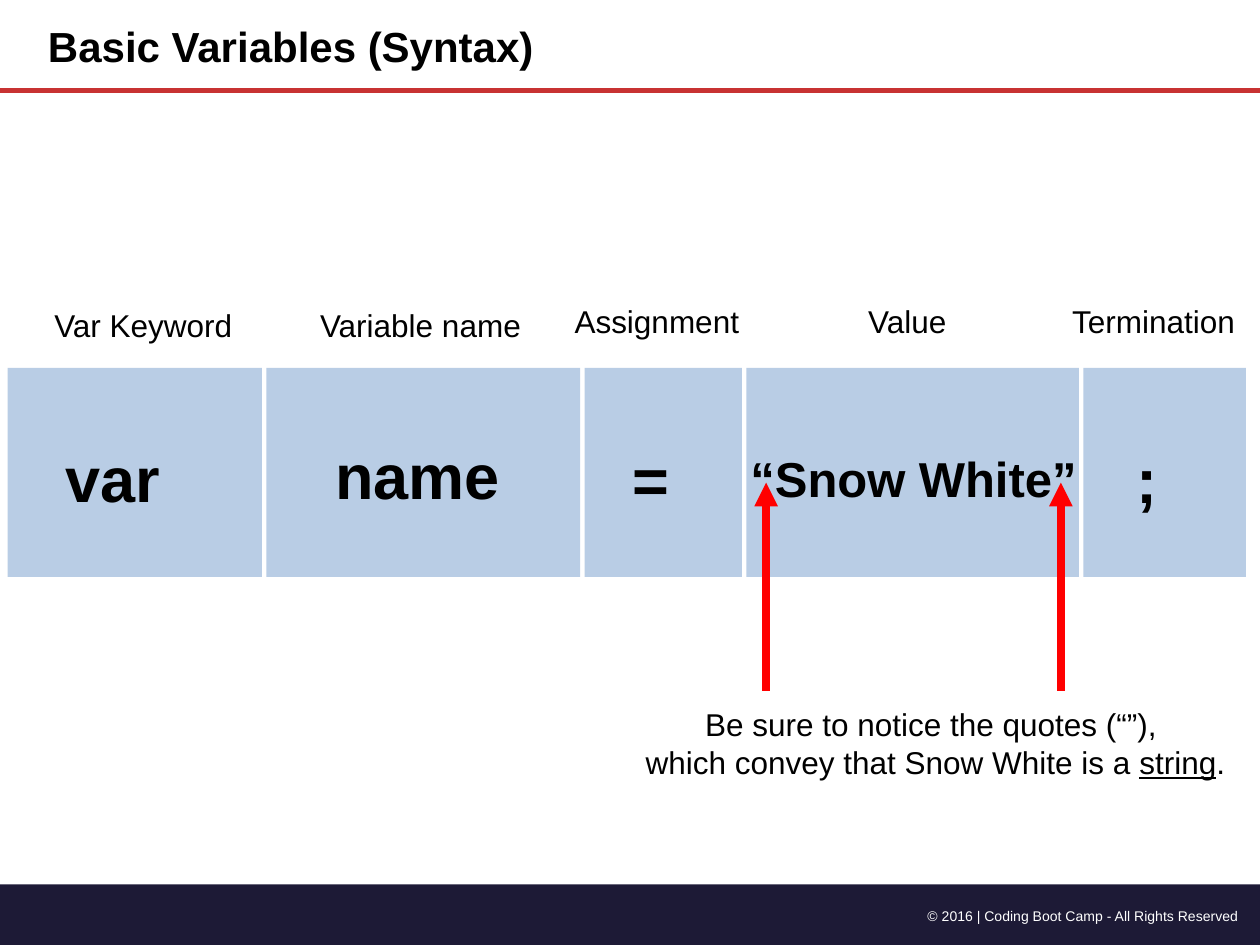
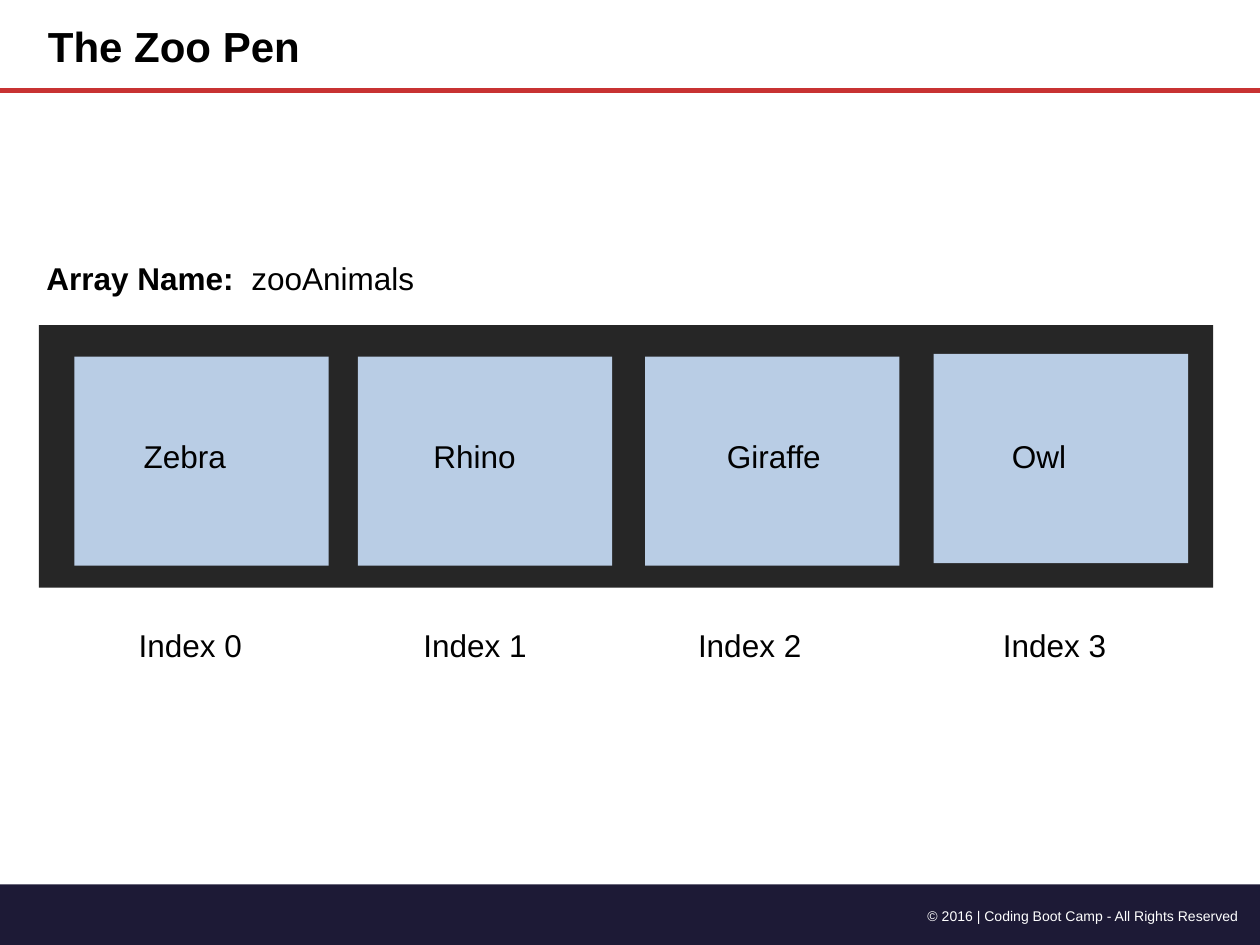
"""Builds two lesson slides: variable syntax and the zoo pen array."""
from pptx import Presentation
from pptx.dml.color import RGBColor
from pptx.enum.shapes import MSO_CONNECTOR, MSO_SHAPE
from pptx.enum.text import MSO_ANCHOR, PP_ALIGN
from pptx.oxml.ns import qn
from pptx.util import Pt
from lxml.etree import SubElement

COLORS = {"band": "1D1A36", "rule": "C83232", "cell": "B9CDE5", "pen": "262626",
          "arrow": "FF0000", "text": "000000", "footer": "FFFFFF"}
FONT = "Arial"
FOOTER = "© 2016 | Coding Boot Camp - All Rights Reserved"

SYNTAX_TITLE = "Basic Variables (Syntax)"
SYNTAX_PARTS = [
    {"width": 145.4, "label": ("Var Keyword", 27.4, 171.4, 109.4),
     "code": ("var", 33.8, 247.7, 111.6)},
    {"width": 179.3, "label": ("Variable name", 179.3, 171.4, 123.1),
     "code": ("name", 187.9, 246.2, 149.8)},
    {"width": 90, "label": ("Assignment", 324.7, 169.2, 102.2),
     "code": ("=", 357.8, 248.4, 67)},
    {"width": 190, "label": ("Value", 492.5, 169.2, 52.6),
     "code": ("“Snow White”", 414.7, 252.7, 214.6)},
    {"width": 93, "label": ("Termination", 609.1, 169.2, 100.8),
     "code": (";", 645.8, 248.4, 67)},
]
QUOTE_NOTE = [[("Be sure to notice the quotes (“”), ", "")],
              [("which convey that Snow White is a ", ""), ("string", "u"), (".", "")]]
QUOTE_XS = (606.2, 437.8)

ZOO_TITLE = "The Zoo Pen"
ARRAY_NAME = [[("Array Name:  ", "b"), ("zooAnimals", "")]]
ANIMALS = [
    {"pen": (42.5, 203.8), "name": ("Zebra", 78.5, 55.4), "index": (75.6, 72)},
    {"pen": (204.5, 203.8), "name": ("Rhino", 244.1, 55.4), "index": (238.3, 67)},
    {"pen": (368.6, 203.8), "name": ("Giraffe", 411.8, 61.9), "index": (395.3, 67)},
    {"pen": (533.5, 202.3), "name": ("Owl", 574.6, 38.9), "index": (569.5, 67)},
]

CELL_H = 119.5
CELL_GAP = 2.5
LABEL_H = 27.4


def add_rect(s, x, y, w, h, color):
    sp = s.shapes.add_shape(MSO_SHAPE.RECTANGLE, Pt(x), Pt(y), Pt(w), Pt(h))
    sp.shadow.inherit = False
    sp.fill.solid()
    sp.fill.fore_color.rgb = RGBColor.from_string(COLORS[color])
    sp.line.fill.background()


def add_line(s, x1, y1, x2, y2, color, width, arrow=False):
    cn = s.shapes.add_connector(MSO_CONNECTOR.STRAIGHT, Pt(x1), Pt(y1), Pt(x2), Pt(y2))
    cn.line.color.rgb = RGBColor.from_string(COLORS[color])
    cn.line.width = Pt(width)
    if arrow:
        SubElement(cn.line._get_or_add_ln(), qn("a:tailEnd"), type="triangle")
    SubElement(cn._element.spPr, qn("a:effectLst"))


def add_text(s, paragraphs, x, y, w, h, size=18, color="text", align=PP_ALIGN.LEFT,
             anchor=MSO_ANCHOR.TOP, wrap=False):
    tf = s.shapes.add_textbox(Pt(x), Pt(y), Pt(w), Pt(h)).text_frame
    tf.word_wrap = wrap
    tf.vertical_anchor = anchor
    tf.margin_left = tf.margin_right = tf.margin_top = tf.margin_bottom = Pt(3.6)
    for i, runs in enumerate(paragraphs):
        p = tf.add_paragraph() if i else tf.paragraphs[0]
        p.alignment = align
        for text, style in runs:
            r = p.add_run()
            r.text = text
            r.font.name = FONT
            r.font.size = Pt(size)
            r.font.bold = "b" in style
            r.font.underline = "u" in style
            r.font.color.rgb = RGBColor.from_string(COLORS[color])


def add_base(prs, title):
    s = prs.slides.add_slide(prs.slide_layouts[6])
    add_rect(s, 0, 505.4, 720, 34.6, "band")
    add_text(s, [[(FOOTER, "")]], 491.8, 514.8, 219.6, 15.8, size=8, color="footer",
             align=PP_ALIGN.RIGHT, wrap=True)
    add_line(s, 0, 51.8, 720, 51.8, "rule", 3.25)
    add_text(s, [[(title, "b")]], 23.8, 8.6, 430.6, 34.6, size=24,
             anchor=MSO_ANCHOR.MIDDLE, wrap=True)
    return s


def build_syntax(prs):
    s = add_base(prs, SYNTAX_TITLE)
    x = 4.3
    for part in SYNTAX_PARTS:
        add_rect(s, x, 210.2, part["width"], CELL_H, "cell")
        x += part["width"] + CELL_GAP
    add_text(s, QUOTE_NOTE, 365, 399.6, 339.1, 48.2, align=PP_ALIGN.CENTER)
    for quote_x in QUOTE_XS:
        add_line(s, quote_x, 394.6, quote_x, 275.8, "arrow", 4.5, arrow=True)
    for part in SYNTAX_PARTS:
        label, lx, ly, lw = part["label"]
        add_text(s, [[(label, "")]], lx, ly, lw, LABEL_H)
        code, cx, cy, cw = part["code"]
        quoted = code.startswith("“")
        add_text(s, [[(code, "b")]], cx, cy, cw, 38.2 if quoted else 48.2,
                 size=28 if quoted else 36, wrap=True,
                 align=PP_ALIGN.CENTER if quoted else PP_ALIGN.LEFT)


def build_zoo(prs):
    s = add_base(prs, ZOO_TITLE)
    add_text(s, ARRAY_NAME, 23, 144.7, 218.2, LABEL_H)
    add_rect(s, 22.2, 185.8, 671, 150, "pen")
    for i, animal in enumerate(ANIMALS):
        add_rect(s, *animal["pen"], 145.4, CELL_H, "cell")
        name, nx, nw = animal["name"]
        add_text(s, [[(name, "")]], nx, 246.2, nw, LABEL_H)
        ix, iw = animal["index"]
        add_text(s, [[(f"Index {i}", "")]], ix, 354.2, iw, LABEL_H)


def main():
    prs = Presentation()
    prs.slide_width, prs.slide_height = Pt(720), Pt(540)
    build_syntax(prs)
    build_zoo(prs)
    prs.save("out.pptx")


if __name__ == "__main__":
    main()
